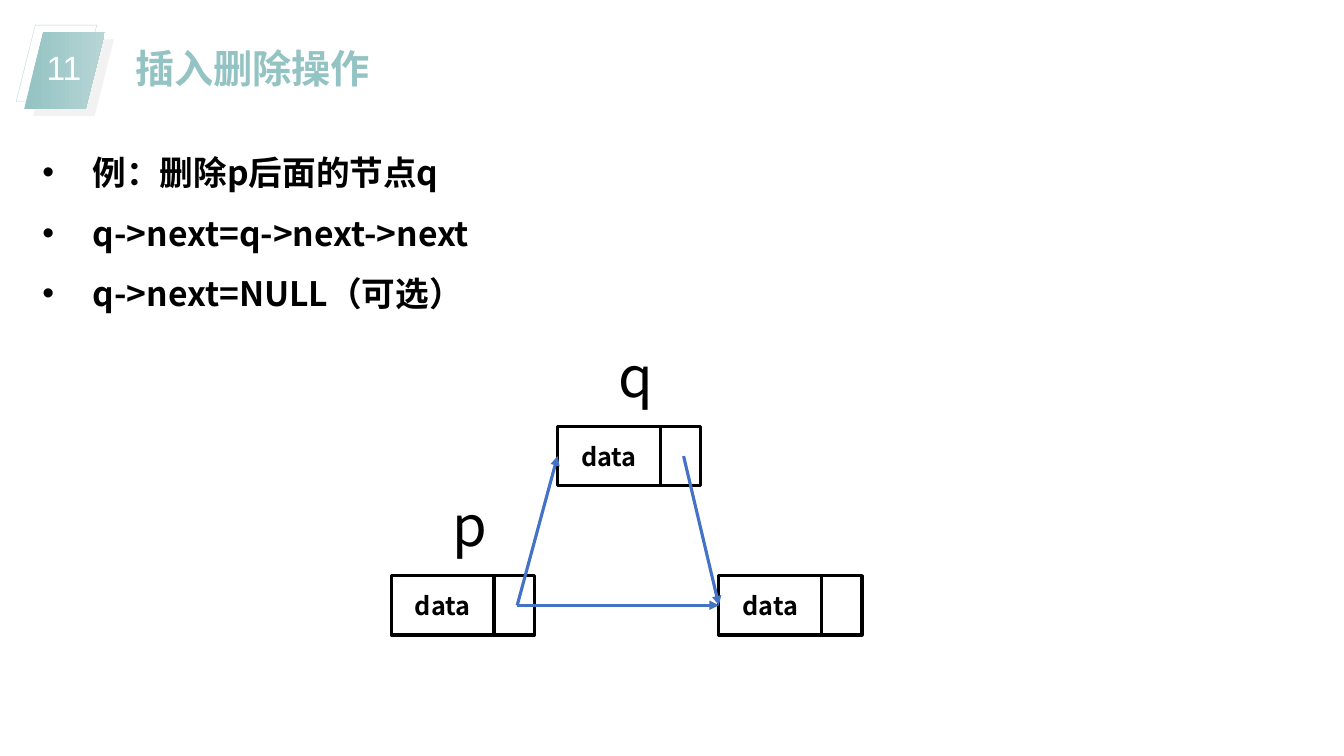
from lxml import etree
from pptx import Presentation
from pptx import util as u
from pptx.dml.color import RGBColor
from pptx.enum import shapes, text
from pptx.oxml import ns

TEAL = RGBColor(0x93, 0xC3, 0xC2)
PALE_TEAL = RGBColor(0xB7, 0xD5, 0xD5)
OUTLINE_TEAL = RGBColor(0xBA, 0xD7, 0xD7)
GREY = RGBColor(0xF2, 0xF2, 0xF2)
BLUE = RGBColor(0x44, 0x72, 0xC4)
BLACK = RGBColor(0, 0, 0)
WHITE = RGBColor(0xFF, 0xFF, 0xFF)
CJK = "Noto Sans CJK SC"
CENTER = text.PP_ALIGN.CENTER
MIDDLE = text.MSO_ANCHOR.MIDDLE
TOP = text.MSO_ANCHOR.TOP

NODE_H, DATA_W, LINK_W = 0.59, 1.02, 0.4


def place(sp, x, y, w, h):
    values = {"left": x, "top": y, "width": w, "height": h}
    for name, value in values.items():
        setattr(sp, name, u.Inches(value))


def write(sp, lines, font, para, anchor=TOP, wrap=True):
    tf = sp.text_frame
    frame = {"word_wrap": wrap, "auto_size": text.MSO_AUTO_SIZE.NONE, "vertical_anchor": anchor}
    for name, value in frame.items():
        setattr(tf, name, value)
    for i, line in enumerate(lines):
        p = tf.paragraphs[0] if i == 0 else tf.add_paragraph()
        for name, value in para.items():
            setattr(p, name, value)
        r = p.add_run()
        r.text = line
        for name, value in font.items():
            if name == "color":
                r.font.color.rgb = value
            else:
                setattr(r.font, name, value)
        ea = etree.SubElement(r.font._element, ns.qn("a:ea"))
        ea.set("typeface", font["name"])


def add_plain(parent, kind, x, y, w, h, line=None, width=2.25):
    sp = parent.add_shape(kind, *map(u.Inches, (x, y, w, h)))
    sp.shadow.inherit = False
    sp.fill.background()
    if line is None:
        sp.line.fill.background()
    else:
        sp.line.color.rgb = line
        sp.line.width = u.Pt(width)
    return sp


def add_badge(slide, x, y, number):
    kind, size = shapes.MSO_SHAPE.PARALLELOGRAM, (0.8, 0.76)
    add_plain(slide.shapes, kind, x, y, *size, OUTLINE_TEAL, 0.25)
    shade = add_plain(slide.shapes, kind, x + 0.17, y + 0.14, *size)
    shade.fill.solid()
    shade.fill.fore_color.rgb = GREY
    front = add_plain(slide.shapes, kind, x + 0.08, y + 0.07, *size)
    front.fill.gradient()
    front.fill.gradient_angle = 0
    for stop, color in zip(front.fill.gradient_stops, (TEAL, PALE_TEAL)):
        stop.color.rgb = color
    box = slide.shapes.add_textbox(*map(u.Inches, (x + 0.17, y + 0.11, 0.61, 0.54)))
    write(box, [number], {"name": "Arial", "size": u.Pt(24), "color": WHITE},
          {"alignment": CENTER, "line_spacing": 1.2}, MIDDLE, False)


def add_title(slide, x, y, w, h, title):
    sp = slide.shapes.title
    place(sp, x, y, w, h)
    write(sp, [title], {"name": "Arial", "size": u.Pt(28), "bold": True, "color": TEAL},
          {"alignment": text.PP_ALIGN.JUSTIFY})


def add_bullets(slide, x, y, w, h, lines):
    sp = slide.placeholders[1]
    place(sp, x, y, w, h)
    write(sp, lines, {"name": CJK, "size": u.Pt(24), "bold": True, "color": BLACK},
          {"line_spacing": 1.5, "space_before": u.Pt(0)})
    for p in sp.text_frame.paragraphs:
        pPr = p._p.get_or_add_pPr()
        pPr.set("marL", str(u.Inches(0.5)))
        pPr.set("indent", str(u.Inches(-0.5)))
        etree.SubElement(pPr, ns.qn("a:buFont")).set("typeface", "Arial")
        etree.SubElement(pPr, ns.qn("a:buChar")).set("char", "•")


def add_node(slide, x, y, label=None):
    group = slide.shapes.add_group_shape().shapes
    rect = shapes.MSO_SHAPE.RECTANGLE
    data = add_plain(group, rect, x, y, DATA_W, NODE_H, BLACK)
    write(data, ["data"], {"name": CJK, "size": u.Pt(18), "bold": True, "color": BLACK},
          {"alignment": CENTER}, MIDDLE)
    add_plain(group, rect, x + DATA_W, y, LINK_W, NODE_H, BLACK)
    if label:
        box = slide.shapes.add_textbox(*map(u.Inches, (x + 0.43, y - 0.89, 0.69, 0.77)))
        write(box, [label], {"name": CJK, "size": u.Pt(40), "color": BLACK}, {"alignment": CENTER})


def add_link(slide, start, end):
    x1, y1 = start
    x2, y2 = end
    points = (x1 + 1.25, y1 + NODE_H / 2, x2, y2 + NODE_H / 2)
    cn = slide.shapes.add_connector(shapes.MSO_CONNECTOR.STRAIGHT, *map(u.Inches, points))
    cn.line.color.rgb = BLUE
    cn.line.width = u.Pt(2.25)
    etree.SubElement(cn.line._get_or_add_ln(), ns.qn("a:tailEnd")).set("type", "triangle")
    etree.SubElement(cn._element.spPr, ns.qn("a:effectLst"))


def add_list_diagram(slide, x, y):
    p_node, q_node, last = (x, y + 1.48), (x + 1.65, y), (x + 3.25, y + 1.48)
    add_node(slide, *p_node, "p")
    add_node(slide, *last)
    add_node(slide, *q_node, "q")
    for start, end in ((p_node, last), (q_node, last), (p_node, q_node)):
        add_link(slide, start, end)


def main():
    prs = Presentation()
    prs.slide_width, prs.slide_height = u.Inches(13.33), u.Inches(7.5)
    slide = prs.slides.add_slide(prs.slide_layouts[1])
    add_badge(slide, 0.16, 0.25, "11")
    add_title(slide, 1.24, 0.39, 2.55, 0.57, "插入删除操作")
    add_bullets(slide, 0.32, 1.26, 12.46, 1.86,
                ["例：删除p后面的节点q", "q->next=q->next->next", "q->next=NULL（可选）"])
    add_list_diagram(slide, 3.88, 4.23)
    prs.save("out.pptx")


if __name__ == "__main__":
    main()
